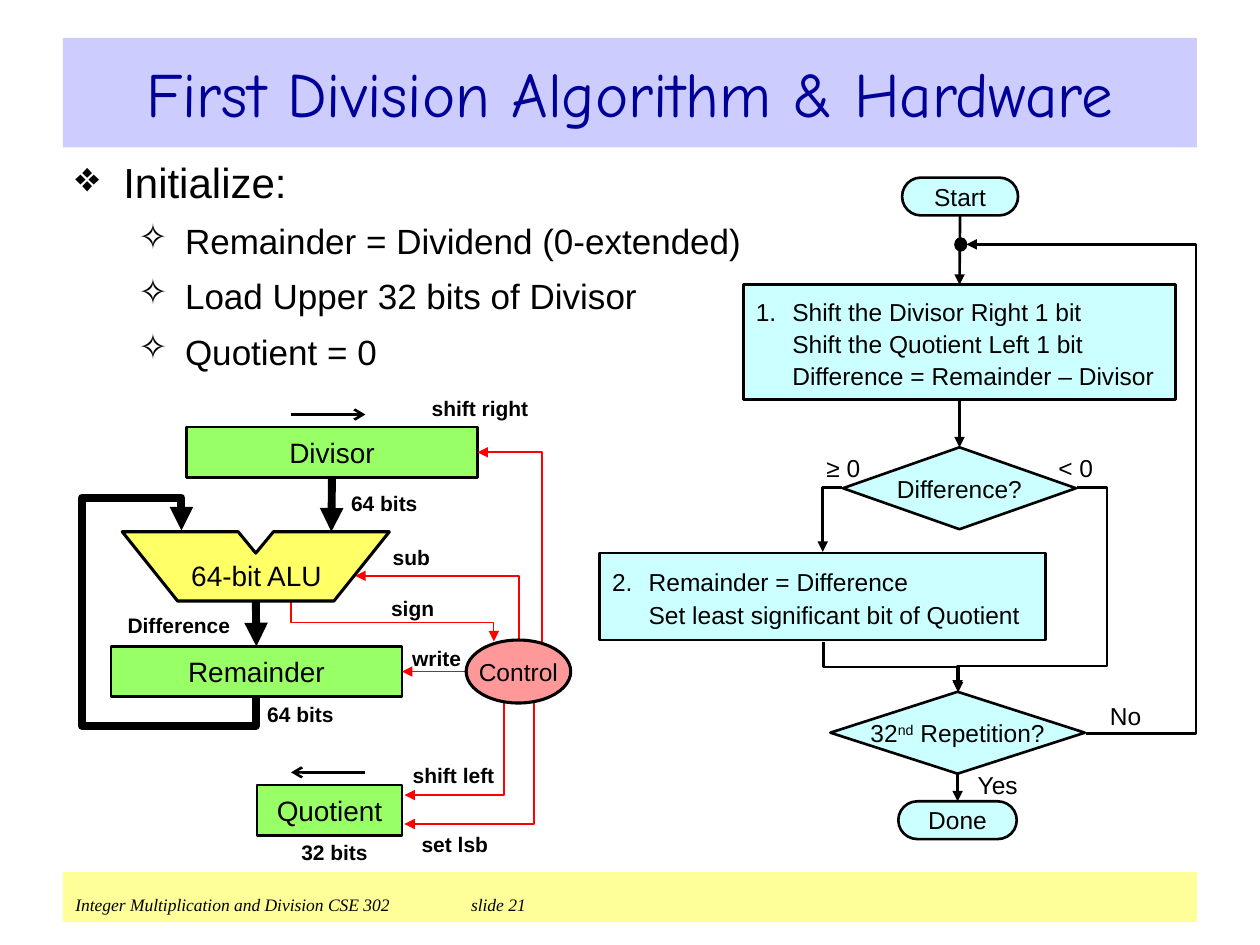
from dataclasses import dataclass

from lxml import etree
from pptx import Presentation
from pptx import util as u
from pptx.dml.color import RGBColor
from pptx.enum import shapes, text
from pptx.oxml.ns import qn

SHAPE = shapes.MSO_SHAPE
ALIGN = text.PP_ALIGN
ANCHOR = text.MSO_ANCHOR
TOP, LEFT, BOTTOM, RIGHT = range(4)


@dataclass(frozen=True)
class Theme:
    black: str = "000000"
    signal: str = "FF0000"
    title_fill: str = "CCCCFF"
    title_text: str = "000099"
    footer_fill: str = "FFFF99"
    step_fill: str = "CCFFFF"
    register_fill: str = "99FF66"
    alu_fill: str = "FFFF66"
    control_fill: str = "FF9999"
    font: str = "Arial"
    title_font: str = "Comic Neue"
    footer_font: str = "Times New Roman"
    title: float = 36
    heading: float = 24
    item: float = 20
    register: float = 16
    step: float = 14
    label: float = 12
    footer: float = 10


class SlideBuilder:
    def __init__(self, slide, theme):
        self.slide = slide
        self.theme = theme

    def add_run(self, paragraph, content, size, color=None, font=None,
                bold=False, italic=False, baseline=None):
        run = paragraph.add_run()
        run.text = content
        run.font.size = u.Pt(size)
        run.font.name = font or self.theme.font
        run.font.bold = bold
        run.font.italic = italic
        run.font.color.rgb = RGBColor.from_string(color or self.theme.black)
        if baseline:
            run.font._element.set("baseline", str(baseline))

    def frame(self, shape, anchor=ANCHOR.MIDDLE, inset=(0, 0), wrap=True, align=ALIGN.CENTER):
        frame = shape.text_frame
        frame.word_wrap = wrap
        frame.vertical_anchor = anchor
        frame.margin_left = frame.margin_right = u.Inches(inset[0])
        frame.margin_top = frame.margin_bottom = u.Inches(inset[1])
        frame.paragraphs[0].alignment = align
        return frame

    def paint(self, shape, fill=None, line=None, width=1.5):
        shape.shadow.inherit = False
        if fill:
            shape.fill.solid()
            shape.fill.fore_color.rgb = RGBColor.from_string(fill)
        else:
            shape.fill.background()
        if line:
            self.stroke(shape, line, width)
        else:
            shape.line.fill.background()

    def stroke(self, shape, color, width, arrow=None):
        shape.line.color.rgb = RGBColor.from_string(color)
        shape.line.width = u.Pt(width)
        if arrow:
            etree.SubElement(shape.line._get_or_add_ln(), qn("a:tailEnd"), type=arrow)

    def box(self, kind, place, fill, content="", size=14, line=Theme.black, width=1.5):
        shape = self.slide.shapes.add_shape(kind, *map(u.Inches, place))
        self.paint(shape, fill, line, width)
        frame = self.frame(shape, wrap=False)
        if content:
            self.add_run(frame.paragraphs[0], content, size)
        return shape

    def label(self, content, place, size=Theme.label, bold=True, align=ALIGN.CENTER):
        shape = self.slide.shapes.add_textbox(*map(u.Inches, place))
        self.add_run(self.frame(shape, align=align).paragraphs[0], content, size, bold=bold)

    def indent(self, paragraph, left, first, bullet=None):
        properties = paragraph._p.get_or_add_pPr()
        properties.set("marL", str(u.Inches(left)))
        properties.set("indent", str(u.Inches(first)))
        if bullet:
            etree.SubElement(properties, qn("a:buChar"), char=bullet)

    def bullets(self, place, items):
        shape = self.slide.shapes.add_textbox(*map(u.Inches, place))
        frame = self.frame(shape, ANCHOR.TOP, (0.1, 0.05))
        for index, (level, content) in enumerate(items):
            paragraph = frame.add_paragraph() if index else frame.paragraphs[0]
            paragraph.alignment = ALIGN.LEFT
            paragraph.level = level
            paragraph.space_before = u.Pt(7.5 if index else 0)
            if level:
                self.indent(paragraph, 0.87, -0.37, "✧")
            else:
                self.indent(paragraph, 0.38, -0.38, "❖")
            self.add_run(paragraph, content, self.theme.item if level else self.theme.heading)

    def step(self, number, lines, place):
        shape = self.box(SHAPE.RECTANGLE, place, self.theme.step_fill)
        frame = self.frame(shape, inset=(0.1, 0.05))
        for index, content in enumerate(lines):
            paragraph = frame.add_paragraph() if index else frame.paragraphs[0]
            paragraph.alignment = ALIGN.LEFT
            paragraph.line_spacing = 1.1
            self.indent(paragraph, 0.29, 0 if index else -0.29)
            self.add_run(paragraph, content if index else f"{number}.\t{content}", self.theme.step)
        return shape

    def connector(self, begin, end, color=Theme.black, width=1.5, arrow="triangle",
                  begin_at=None, end_at=None, kind=shapes.MSO_CONNECTOR.STRAIGHT):
        connector = self.slide.shapes.add_connector(kind, *map(u.Inches, (*begin, *end)))
        self.stroke(connector, color, width, arrow)
        etree.SubElement(connector._element.spPr, qn("a:effectLst"))
        if begin_at:
            connector.begin_connect(*begin_at)
        if end_at:
            connector.end_connect(*end_at)
        return connector

    def elbow(self, begin, end, preset, adjustments=(), rotation=0):
        connector = self.connector(begin, end, kind=shapes.MSO_CONNECTOR.ELBOW)
        properties = connector._element.spPr
        properties.find(qn("a:xfrm")).set("rot", str(rotation * 60000))
        geometry = properties.find(qn("a:prstGeom"))
        geometry.set("prst", preset)
        guides = geometry.find(qn("a:avLst"))
        for number, value in enumerate(adjustments, 1):
            etree.SubElement(guides, qn("a:gd"), name=f"adj{number}", fmla=f"val {round(value * 100000)}")

    def outline(self, points, closed=False):
        start, *others = [tuple(map(u.Inches, point)) for point in points]
        builder = self.slide.shapes.build_freeform(*start)
        builder.add_line_segments(others, close=closed)
        return builder.convert_to_shape()

    def route(self, points, color=Theme.signal, width=1):
        shape = self.outline(points)
        self.paint(shape)
        self.stroke(shape, color, width, "triangle")


def add_text_areas(builder, theme):
    footer = builder.box(SHAPE.RECTANGLE, (0.5, 6.92, 9, 0.4), theme.footer_fill, line=None)
    paragraph = builder.frame(footer, ANCHOR.BOTTOM, (0.1, 0.06), align=ALIGN.LEFT).paragraphs[0]
    tabs = etree.SubElement(paragraph._p.get_or_add_pPr(), qn("a:tabLst"))
    etree.SubElement(tabs, qn("a:tab"), pos=str(u.Inches(3.14)), algn="l")
    builder.add_run(paragraph, "Integer Multiplication and Division CSE 302\tslide 21",
                    theme.footer, font=theme.footer_font, italic=True)
    title = builder.box(SHAPE.RECTANGLE, (0.5, 0.3, 9, 0.87), theme.title_fill, line=None)
    builder.add_run(title.text_frame.paragraphs[0], "First Division Algorithm & Hardware",
                    theme.title, theme.title_text, theme.title_font)
    builder.bullets((0.5, 1.19, 5.68, 1.99), [
        (0, "Initialize:"), (1, "Remainder = Dividend (0-extended)"),
        (1, "Load Upper 32 bits of Divisor"), (1, "Quotient = 0")])


def add_flowchart(builder, theme):
    fill = theme.step_fill
    builder.box(SHAPE.OVAL, (7.58, 1.89, 0.09, 0.1), theme.black, width=1)
    start = builder.box(SHAPE.FLOWCHART_TERMINATOR, (7.16, 1.41, 0.92, 0.3), fill, "Start")
    shift = builder.step(1, ["Shift the Divisor Right 1 bit", "Shift the Quotient Left 1 bit",
                             "Difference = Remainder – Divisor"], (5.9, 2.26, 3.43, 0.91))
    sign = builder.box(SHAPE.FLOWCHART_DECISION, (6.69, 3.55, 1.85, 0.65), fill, "Difference?")
    builder.step(2, ["Remainder = Difference", "Set least significant bit of Quotient"],
                 (4.76, 4.39, 3.54, 0.69))
    repeat = builder.box(SHAPE.FLOWCHART_DECISION, (6.59, 5.49, 2.02, 0.65), fill)
    for content, baseline in (("32", None), ("nd", 30000), (" Repetition?", None)):
        builder.add_run(repeat.text_frame.paragraphs[0], content, theme.step, baseline=baseline)
    done = builder.box(SHAPE.FLOWCHART_TERMINATOR, (7.13, 6.36, 0.94, 0.3), fill, "Done")
    for content, left, top in (("< 0", 8.4, 3.59), ("≥ 0", 6.56, 3.59),
                               ("No", 8.81, 5.56), ("Yes", 7.76, 6.11)):
        builder.label(content, (left, top, 0.4, 0.24), theme.step, False, ALIGN.LEFT)
    builder.connector((7.62, 1.71), (7.61, 2.26), begin_at=(start, BOTTOM), end_at=(shift, TOP))
    builder.connector((7.61, 3.17), (7.61, 3.55), begin_at=(shift, BOTTOM), end_at=(sign, TOP))
    builder.connector((7.6, 6.14), (7.6, 6.36), begin_at=(repeat, BOTTOM), end_at=(done, TOP))
    builder.elbow((6.68, 3.87), (6.53, 4.38), "bentConnector2")
    builder.elbow((7.27, 4.76), (6.87, 5.83), "bentConnector3", [0.5], 270)
    builder.elbow((8.55, 3.87), (7.6, 5.48), "bentConnector4", [-0.25, 0.88])
    builder.elbow((8.62, 5.82), (7.67, 1.94), "bentConnector3", [-0.92])


def add_hardware(builder, theme):
    fill = theme.register_fill
    divisor = builder.box(SHAPE.RECTANGLE, (1.48, 3.39, 2.31, 0.4), fill, "Divisor", theme.register)
    remainder = builder.box(SHAPE.RECTANGLE, (0.88, 5.13, 2.31, 0.4), fill, "Remainder", theme.register)
    builder.box(SHAPE.RECTANGLE, (2.04, 6.23, 1.15, 0.4), fill, "Quotient", theme.register)
    builder.route([(2.31, 4.74), (2.31, 4.94), (3.92, 4.94), (3.92, 5.09)], width=0.75)
    for points in ([(4, 5.53), (4, 6.31), (3.21, 6.31)], [(4.3, 5.33), (4.3, 3.59), (3.79, 3.59)],
                   [(4.12, 5.33), (4.12, 4.57), (2.82, 4.57)], [(4.24, 5.56), (4.24, 6.54), (3.21, 6.54)]):
        builder.route(points)
    builder.route([(2.03, 5.53), (2.03, 5.76), (0.65, 5.76), (0.65, 3.95), (1.44, 3.95), (1.44, 4.21)],
                  theme.black, 4.5)
    builder.connector((2.03, 4.74), (2.03, 5.13), width=4.5, end_at=(remainder, TOP))
    builder.connector((2.63, 3.79), (2.63, 4.22), width=4.5, begin_at=(divisor, BOTTOM))
    builder.connector((3.7, 5.33), (3.19, 5.33), theme.signal, 1, end_at=(remainder, RIGHT))
    builder.connector((2.31, 3.29), (2.9, 3.29), arrow="arrow")
    builder.connector((2.9, 6.13), (2.31, 6.13), arrow="arrow")
    alu = builder.outline([(3.09, 4.22), (2.17, 4.22), (2.03, 4.39), (1.89, 4.22),
                           (0.97, 4.22), (1.41, 4.77), (2.65, 4.77)], closed=True)
    builder.paint(alu, theme.alu_fill, theme.black, 1.75)
    builder.box(SHAPE.OVAL, (3.7, 5.08, 0.83, 0.5), theme.control_fill, "Control", theme.step, width=1.75)
    builder.label("64-bit ALU", (1.39, 4.37, 1.29, 0.39), theme.register, False)
    for content, *place in (
            ("64 bits", 2.07, 5.58, 0.63, 0.18), ("64 bits", 2.73, 3.87, 0.64, 0.24),
            ("write", 3.21, 5.12, 0.51, 0.2), ("shift right", 3.34, 3.12, 0.94, 0.24),
            ("sub", 3.01, 4.32, 0.51, 0.2), ("shift left", 3.2, 6.03, 0.8, 0.24),
            ("32 bits", 2.34, 6.66, 0.63, 0.2), ("Difference", 0.89, 4.88, 1.06, 0.17),
            ("sign", 3.02, 4.73, 0.51, 0.2), ("set lsb", 3.21, 6.58, 0.8, 0.24)):
        builder.label(content, place)


def main():
    presentation = Presentation()
    presentation.slide_width, presentation.slide_height = u.Inches(10), u.Inches(7.5)
    theme = Theme()
    builder = SlideBuilder(presentation.slides.add_slide(presentation.slide_layouts[6]), theme)
    add_text_areas(builder, theme)
    add_flowchart(builder, theme)
    add_hardware(builder, theme)
    presentation.save("out.pptx")


if __name__ == "__main__":
    main()
